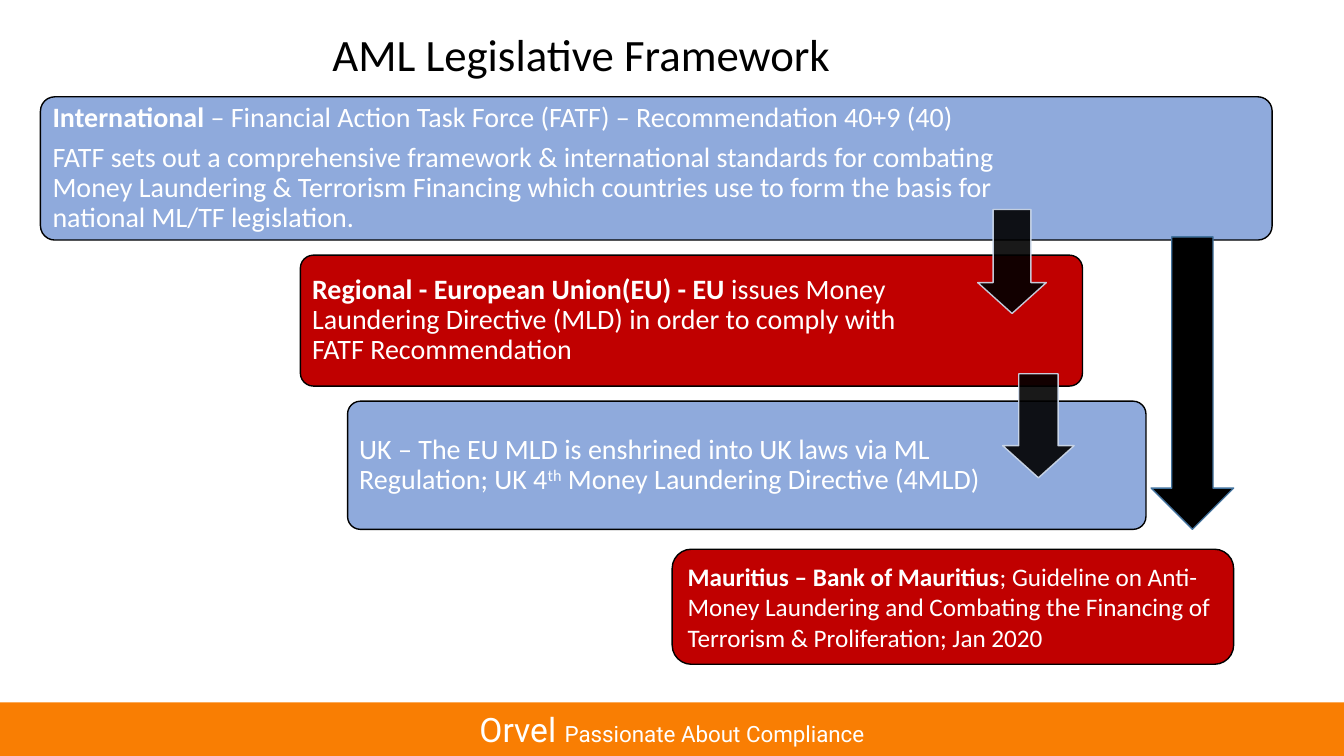
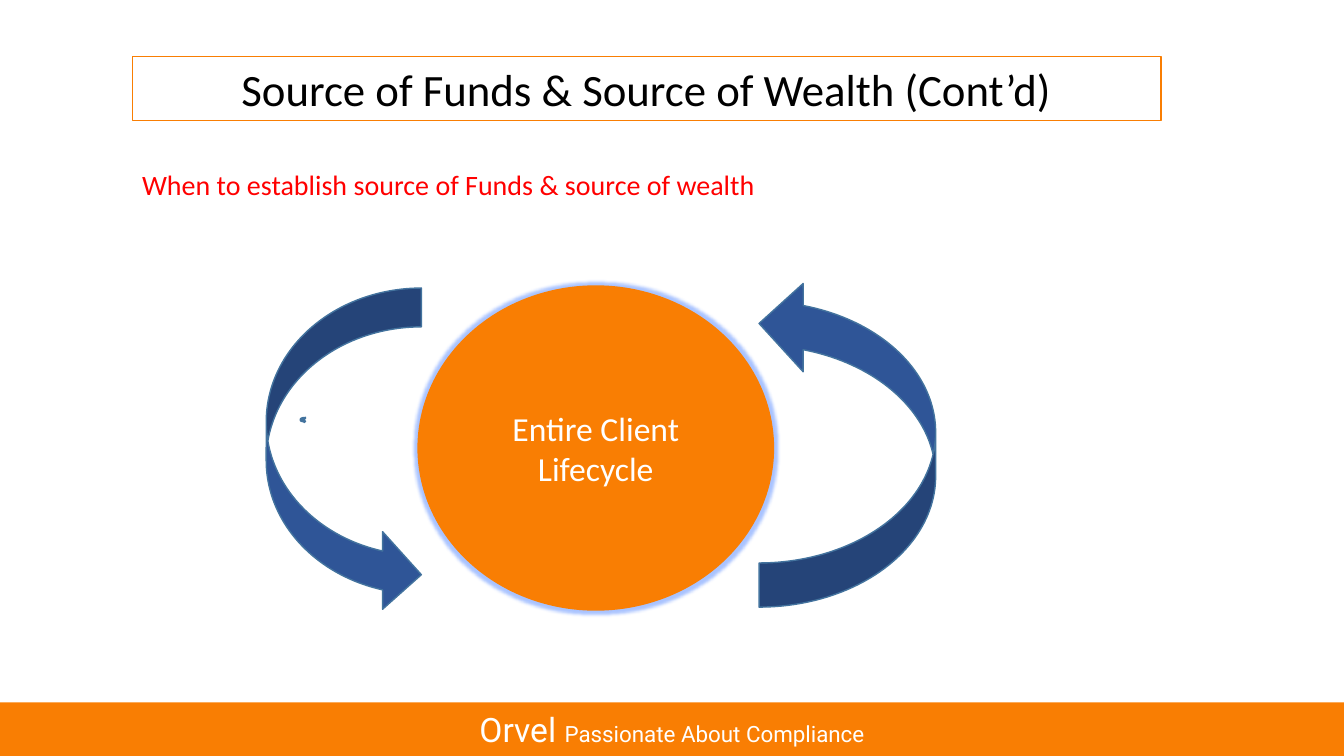
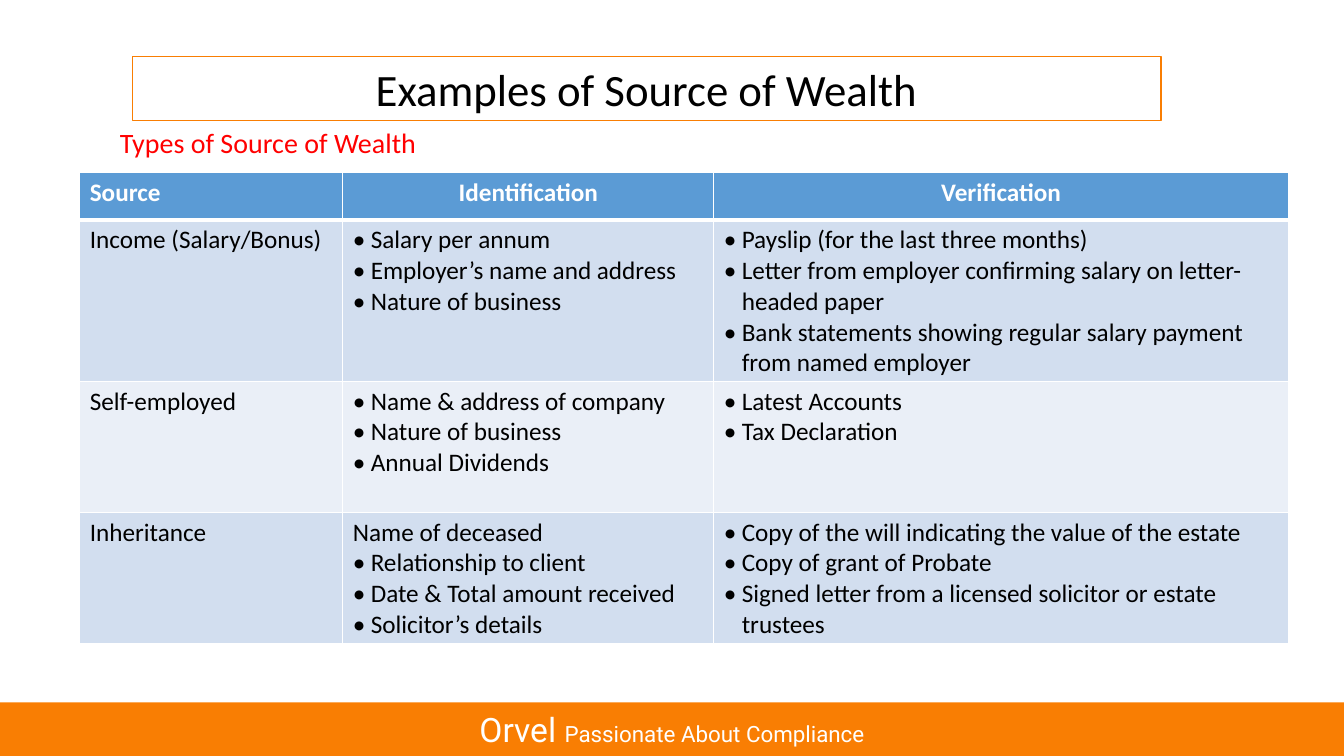
from lxml.etree import SubElement
from pptx import Presentation
from pptx.dml.color import RGBColor
from pptx.enum.shapes import MSO_SHAPE as S
from pptx.enum.text import MSO_ANCHOR, PP_ALIGN
from pptx.oxml.ns import qn
from pptx.util import Cm, Pt

HUE = {
    "orange": "F97E03", "sky": "8FAADC", "red": "C00000", "alert": "FF0000",
    "navy": "2F5597", "blue": "5B9BD5", "edge": "43739E", "rim": "D2DEEF",
    "pale": "EAEFF7", "glow": "2A6BFF", "black": "000000", "white": "FFFFFF",
}


def box(slide, kind, place, fill=None, line=None, width=1):
    """Add a preset shape, or a text box when kind is None."""
    place = [Cm(n) for n in place]
    if kind is None:
        shape = slide.shapes.add_textbox(*place)
    else:
        shape = slide.shapes.add_shape(kind, *place)
        shape.shadow.inherit = False
    if fill:
        shape.fill.solid()
        shape.fill.fore_color.rgb = RGBColor.from_string(HUE[fill])
    else:
        shape.fill.background()
    if line:
        shape.line.color.rgb = RGBColor.from_string(HUE[line])
        shape.line.width = Pt(width)
    else:
        shape.line.fill.background()
    shape.text_frame.word_wrap = True
    return shape


def write(frame, lines, size, hue, align=PP_ALIGN.LEFT, bold=None):
    """Fill a frame; a line is a string or a list of (text, style) runs."""
    for i, line in enumerate(lines):
        para = frame.paragraphs[0] if i == 0 else frame.add_paragraph()
        para.alignment = align
        runs = [(line, "")] if isinstance(line, str) else line
        if runs[0][0].startswith("•"):
            runs = [(runs[0][0][1:].strip(), "")]
            props = para._p.get_or_add_pPr()
            props.set("marL", str(Cm(0.45)))
            props.set("indent", str(-Cm(0.45)))
            SubElement(props, qn("a:buFont"), typeface="Calibri")
            SubElement(props, qn("a:buChar"), char="•")
        para.font.name = "Calibri"
        para.font.size = Pt(size)
        para.font.bold = bold
        para.font.color.rgb = RGBColor.from_string(HUE[hue])
        for text, style in runs:
            run = para.add_run()
            run.text = text
            if style == "bold":
                run.font.bold = True
            elif style == "super":
                run.font._element.set("baseline", "30000")


deck = Presentation()
deck.slide_width, deck.slide_height = Cm(33.87), Cm(19.05)

# Shared title and footer band
FRAME = (3.33, 1.42, 25.93, 1.63)
pages = []
for title, place, rim in [
    ("AML Legislative Framework", (5.97, 0.56, 17.37, 1.63), None),
    ("Source of Funds & Source of Wealth (Cont’d)", FRAME, "orange"),
    ("Examples of Source of Wealth", FRAME, "orange"),
]:
    page = deck.slides.add_slide(deck.slide_layouts[6])
    pages.append(page)
    head = box(page, S.RECTANGLE, place, None, rim, 0.75)
    head.text_frame.vertical_anchor = MSO_ANCHOR.TOP
    write(head.text_frame, [title], 32, "black", PP_ALIGN.CENTER)
    band = box(page, S.RECTANGLE, (0, 17.7, 33.87, 1.35), "orange")
    para = band.text_frame.paragraphs[0]
    para.alignment = PP_ALIGN.CENTER
    para.font.name = "Roboto"
    para.font.color.rgb = RGBColor.from_string(HUE["white"])
    for text, size in [("Orvel ", 24), ("Passionate About Compliance", 16)]:
        run = para.add_run()
        run.text = text
        run.font.size = Pt(size)
law, cycle, wealth = pages

# Slide 1: levels of law, each with room for an arrow at the right
for place, fill, room, lines in [
    ((1.02, 2.44, 31.04, 3.61), "sky", 5.03, [
        [("International", "bold"),
         (" – Financial Action Task Force (FATF) – Recommendation 40+9 (40)", "")],
        "FATF sets out a comprehensive framework & international standards for "
        "combating Money Laundering & Terrorism Financing which countries use "
        "to form the basis for national ML/TF legislation."]),
    ((7.57, 6.43, 19.71, 3.3), "red", 3.89, [
        [("Regional - European Union(EU) - EU", "bold"),
         (" issues Money Laundering Directive (MLD) in order to comply with "
          "FATF Recommendation", "")]]),
    ((8.76, 10.11, 20.12, 3.23), "sky", 3.96, [
        [("UK – The EU MLD is enshrined into UK laws via ML Regulation; UK 4", ""),
         ("th", "super"), (" Money Laundering Directive (4MLD)", "")]]),
]:
    level = box(law, S.ROUNDED_RECTANGLE, place, fill, "black")
    level.adjustments[0] = 0.1
    frame = level.text_frame
    frame.margin_left = frame.margin_top = frame.margin_bottom = Cm(0.2)
    frame.margin_right = Cm(room)
    write(frame, lines, 20, "white")
    for para in frame.paragraphs:
        para.line_spacing = 0.9
        para.space_after = Pt(7)

local = box(law, S.ROUNDED_RECTANGLE, (16.94, 13.84, 14.15, 2.9), "red", "black")
write(local.text_frame, [
    [("Mauritius – Bank of Mauritius", "bold"),
     ("; Guideline on Anti-Money Laundering and Combating the Financing of "
      "Terrorism & Proliferation; Jan 2020", "")]], 18, "white")

# Arrows between the levels
for place in [(24.64, 5.28, 1.73, 2.62), (25.27, 9.42, 1.8, 2.62)]:
    step = box(law, S.DOWN_ARROW, place, "black", "rim")
    step.adjustments[0], step.adjustments[1] = 0.55, 0.45
    for tint in list(step.element.spPr.iter(qn("a:srgbClr"))):
        SubElement(tint, qn("a:alpha"), val="90000")
box(law, S.DOWN_ARROW, (29.01, 5.97, 2.08, 7.37), "black", "edge")

# Slide 2: life cycle between two curved arrows
sub = box(cycle, None, (3.33, 4.09, 20.75, 1.88))
write(sub.text_frame, ["When to establish source of Funds & source of wealth"],
      20, "alert")
core = box(cycle, S.OVAL, (10.52, 7.19, 8.99, 8.2), "orange")
write(core.text_frame, ["Entire Client Lifecycle"], 24, "white", PP_ALIGN.CENTER)
glow = SubElement(core.element.spPr.find(qn("a:effectLst")), qn("a:glow"), rad="63500")
tint = SubElement(glow, qn("a:srgbClr"), val=HUE["glow"])
SubElement(tint, qn("a:alpha"), val="40000")

box(cycle, S.CURVED_RIGHT_ARROW, (7.57, 10.52, 0.13, 0.13), "blue", "edge")
box(cycle, S.CURVED_RIGHT_ARROW, (6.71, 7.26, 3.91, 8.2), "navy", "edge")
back = box(cycle, S.CURVED_LEFT_ARROW, (19.13, 7.04, 4.45, 8.26), "navy", "edge")
back.element.spPr.xfrm.set("flipV", "1")

# Slide 3: table of sources
sub = box(wealth, None, (2.77, 3.05, 14.91, 1.12))
write(sub.text_frame, ["Types of Source of Wealth"], 20, "alert")

ROWS = [
    [["Source"], ["Identification"], ["Verification"]],
    [["Income (Salary/Bonus)"],
     ["•Salary per annum", "• Employer’s name and address", "• Nature of business"],
     ["• Payslip (for the last three months)",
      "• Letter from employer confirming salary on letter-headed paper",
      "• Bank statements showing regular salary payment from named employer"]],
    [["Self-employed"],
     ["•Name & address of company", "• Nature of business", "• Annual Dividends"],
     ["•Latest Accounts", "•Tax Declaration"]],
    [["Inheritance"],
     ["Name of deceased", "• Relationship to client",
      "• Date & Total amount received", "• Solicitor’s details"],
     ["• Copy of the will indicating the value of the estate",
      "• Copy of grant of Probate",
      "•Signed letter from a licensed solicitor or estate trustees"]],
]
table = wealth.shapes.add_table(
    4, 3, Cm(2.01), Cm(4.34), Cm(30.46), Cm(11.86)).table
for col, width in zip(table.columns, (6.63, 9.35, 14.48)):
    col.width = Cm(width)
for row, height in zip(table.rows, (1.2, 4.06, 3.3, 3.3)):
    row.height = Cm(height)
for r, row in enumerate(ROWS):
    for c, lines in enumerate(row):
        cell = table.cell(r, c)
        top = r == 0
        mid = top and c > 0
        write(cell.text_frame, lines, 18, "white" if top else "black",
              PP_ALIGN.CENTER if mid else PP_ALIGN.LEFT, top)
        # White cell borders, thick below the header
        props = cell._tc.get_or_add_tcPr()
        for side in "LRTB":
            thick = (top and side == "B") or (r == 1 and side == "T")
            rule = SubElement(props, qn("a:ln" + side), w=str(Pt(3 if thick else 1)))
            paint = SubElement(rule, qn("a:solidFill"))
            SubElement(paint, qn("a:srgbClr"), val=HUE["white"])
        cell.fill.solid()
        shade = "blue" if top else ("rim" if r % 2 else "pale")
        cell.fill.fore_color.rgb = RGBColor.from_string(HUE[shade])

deck.save("out.pptx")
